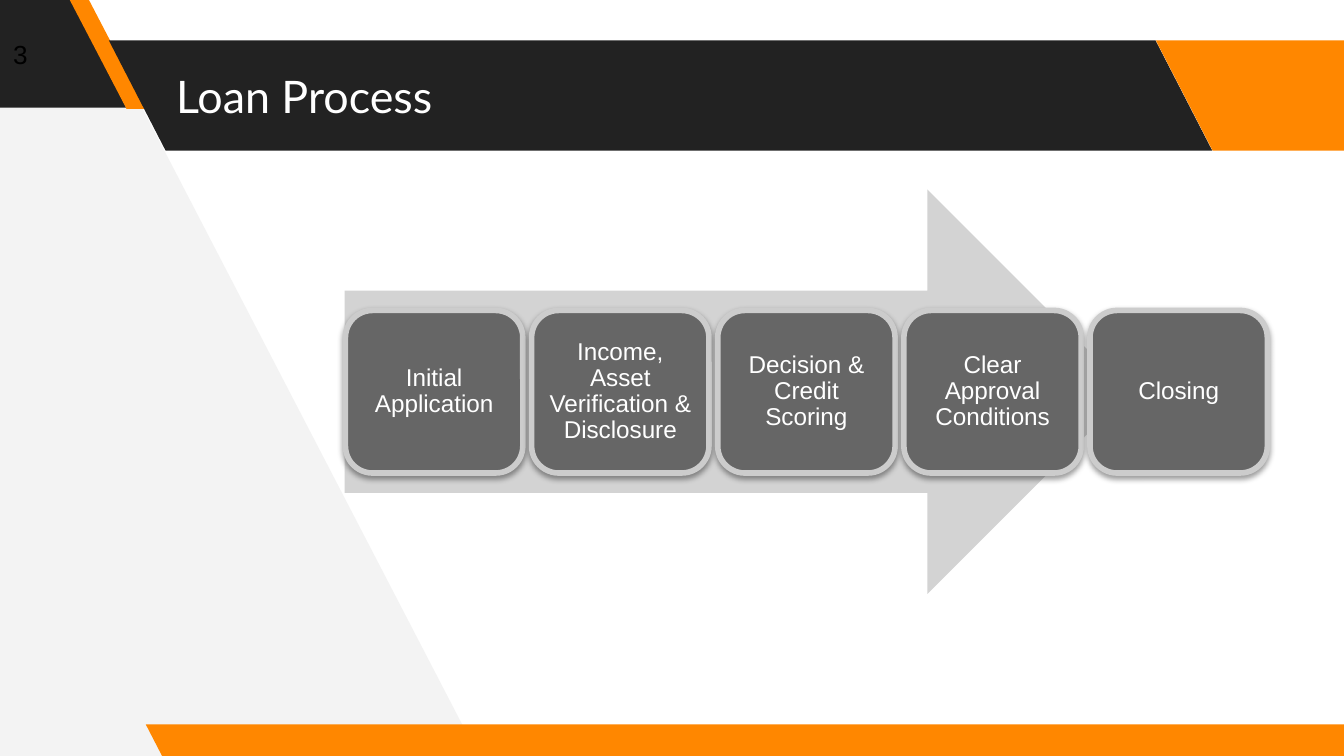
from dataclasses import dataclass

from lxml.etree import SubElement
from pptx import Presentation
from pptx.dml.color import RGBColor
from pptx.enum.shapes import MSO_SHAPE
from pptx.enum.text import MSO_ANCHOR, PP_ALIGN
from pptx.oxml.ns import qn
from pptx.util import Emu, Pt

PX = 4572  # 200 px to the inch

COLORS = {
    "dark": "222222",
    "orange": "FF8700",
    "pale": "F3F3F3",
    "arrow": "D3D3D3",
    "box": "666666",
    "border": "CCCCCC",
    "white": "FFFFFF",
    "black": "000000",
}


@dataclass
class Box:
    x: int
    y: int
    w: int
    h: int

    def emu(self) -> list[Emu]:
        return [Emu(v * PX) for v in (self.x, self.y, self.w, self.h)]


@dataclass
class Band:
    box: Box
    color: str
    slant: float = 0.515


BANDS = [
    Band(Box(-197, -4, 385, 164), "dark"),
    Band(Box(103, -2, 114, 164), "orange", 0.75),
    Band(Box(162, 60, 1642, 164), "dark"),
    Band(Box(1720, 60, 384, 164), "orange"),
    Band(Box(217, 1078, 1830, 50), "orange"),
]

STEPS = [
    "Initial Application",
    "Income, Asset Verification & Disclosure",
    "Decision & Credit Scoring",
    "Clear Approval Conditions",
    "Closing",
]
STEP_X, STEP_PITCH = 514, 277


def rgb(name: str) -> RGBColor:
    return RGBColor.from_string(COLORS[name])


def paint(sp, color: str) -> None:
    sp.fill.solid()
    sp.fill.fore_color.rgb = rgb(color)
    sp.line.fill.background()
    sp.shadow.inherit = False


def add_shape(shapes, kind: MSO_SHAPE, box: Box, color: str):
    sp = shapes.add_shape(kind, *box.emu())
    paint(sp, color)
    return sp


def write(sp, text: str, *, size: int, color: str = "white", font: str = "Arial",
          align=PP_ALIGN.LEFT, inset: int = 20, spacing: float = 1.0) -> None:
    tf = sp.text_frame
    tf.word_wrap = True
    tf.vertical_anchor = MSO_ANCHOR.MIDDLE
    tf.margin_left = tf.margin_right = tf.margin_top = tf.margin_bottom = Emu(inset * PX)
    p = tf.paragraphs[0]
    p.alignment = align
    p.line_spacing = spacing
    r = p.add_run()
    r.text = text
    r.font.size = Pt(size)
    r.font.name = font
    r.font.color.rgb = rgb(color)


def add_band(shapes, band: Band) -> None:
    sp = add_shape(shapes, MSO_SHAPE.PARALLELOGRAM, band.box, band.color)
    sp.adjustments[0] = band.slant
    sp._element.spPr.find(qn("a:xfrm")).set("flipH", "1")


def add_drop_shadow(sp) -> None:
    effects = sp._element.spPr.find(qn("a:effectLst"))
    shadow = SubElement(effects, qn("a:outerShdw"), blurRad=str(Pt(3.1)),
                        dist=str(Pt(1.6)), dir="5400000", rotWithShape="0")
    tint = SubElement(shadow, qn("a:srgbClr"), val=COLORS["black"])
    SubElement(tint, qn("a:alpha"), val="38000")


def add_step(shapes, index: int, text: str) -> None:
    box = Box(STEP_X + index * STEP_PITCH, 462, 264, 242)
    sp = add_shape(shapes, MSO_SHAPE.ROUNDED_RECTANGLE, box, "box")
    sp.line.color.rgb = rgb("border")
    sp.line.width = Pt(3)
    add_drop_shadow(sp)
    write(sp, text, size=13, align=PP_ALIGN.CENTER, inset=10, spacing=0.9)


def main() -> None:
    prs = Presentation()
    prs.slide_width, prs.slide_height = Emu(2000 * PX), Emu(1125 * PX)
    s = prs.slides.add_slide(prs.slide_layouts[5])

    # Pale wedge on the left
    wedge = s.shapes.build_freeform(712, 1125, scale=PX)
    wedge.add_line_segments([(124, -8), (-12, -8), (-4, 1132)])
    paint(wedge.convert_to_shape(), "pale")

    # Slanted bands
    for band in BANDS:
        add_band(s.shapes, band)

    # Slide number
    number = s.shapes.add_textbox(*Box(0, 39, 120, 84).emu())
    write(number, "3", size=14, color="black")

    # Title, brought in front of the bands
    title = s.shapes.title
    title.left, title.top, title.width, title.height = Box(242, 60, 1470, 164).emu()
    write(title, "Loan Process", size=24, font="Lato")
    s.shapes._spTree.append(title._element)

    # Process arrow and its steps
    process = s.shapes.add_group_shape().shapes
    add_shape(process, MSO_SHAPE.RIGHT_ARROW, Box(513, 282, 1168, 602), "arrow")
    for i, text in enumerate(STEPS):
        add_step(process, i, text)

    prs.save("out.pptx")


if __name__ == "__main__":
    main()
